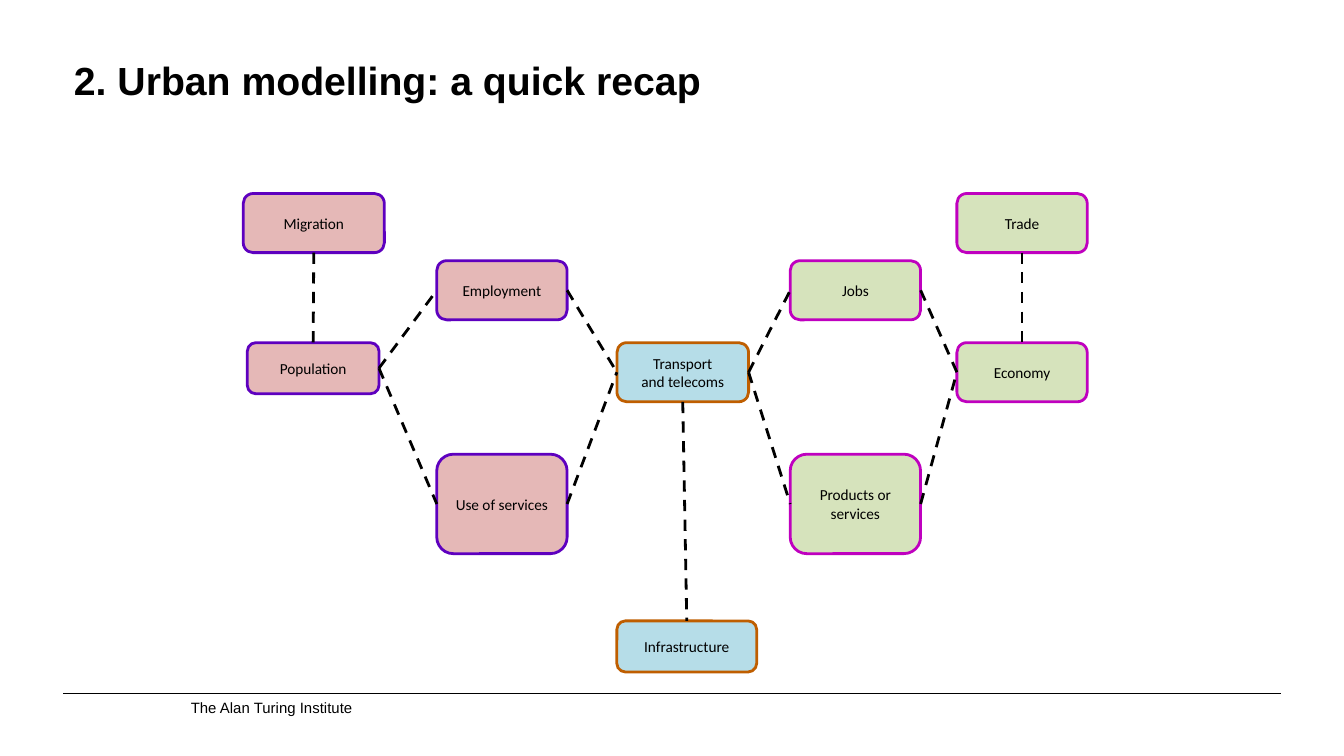
from lxml.etree import SubElement
from pptx import Presentation
from pptx.dml.color import RGBColor
from pptx.enum.dml import MSO_LINE_DASH_STYLE as Dash
from pptx.enum.shapes import MSO_CONNECTOR as Connector, MSO_SHAPE as Shape
from pptx.enum.text import MSO_ANCHOR as Anchor, MSO_AUTO_SIZE as AutoSize, PP_ALIGN as Align
from pptx.oxml.ns import qn
from pptx.util import Inches, Pt

TITLE = "2. Urban modelling: a quick recap"
FOOTER = "The Alan Turing Institute"

COLORS = {
    "black": "000000",
    "people fill": "E5B8B7", "people line": "5E00BF",
    "network fill": "B6DDE8", "network line": "BF5E00",
    "business fill": "D6E3BC", "business line": "BF00BF",
}

# label: (group, left, top, width, height)
BOXES = {
    "Migration": ("people", 1.81, 1.44, 1.05, 0.44),
    "Population": ("people", 1.84, 2.55, 0.98, 0.38),
    "Employment": ("people", 3.25, 1.94, 0.97, 0.44),
    "Use of services": ("people", 3.25, 3.38, 0.97, 0.74),
    "Transport\nand telecoms": ("network", 4.59, 2.55, 0.98, 0.44),
    "Products or services": ("business", 5.88, 3.38, 0.97, 0.74),
    "Jobs": ("business", 5.88, 1.94, 0.97, 0.44),
    "Economy": ("business", 7.12, 2.55, 0.97, 0.44),
    "Trade": ("business", 7.12, 1.44, 0.97, 0.44),
    "Infrastructure": ("network", 4.59, 4.62, 1.04, 0.38),
}

VERTICAL_LINKS = [
    ("Migration", "Population"),
    ("Transport\nand telecoms", "Infrastructure"),
    ("Trade", "Economy"),
]
SIDEWAYS_LINKS = [
    ("Population", "Employment"),
    ("Population", "Use of services"),
    ("Employment", "Transport\nand telecoms"),
    ("Use of services", "Transport\nand telecoms"),
    ("Transport\nand telecoms", "Jobs"),
    ("Transport\nand telecoms", "Products or services"),
    ("Jobs", "Economy"),
    ("Products or services", "Economy"),
]
TOP, LEFT, BOTTOM, RIGHT = range(4)

FONTS = {
    "title": {"name": "Arial", "size": Pt(21), "bold": True},
    "footer": {"name": "Arial", "size": Pt(8)},
    "box": {"name": "Calibri", "size": Pt(8.2)},
}
NO_MARGINS = dict.fromkeys(("margin_left", "margin_top", "margin_right", "margin_bottom"), 0)


def color(name):
    return RGBColor.from_string(COLORS[name])


def set_all(target, values):
    for name, value in values.items():
        setattr(target, name, value)


def write(shape, text, style, align, **frame_values):
    frame = shape.text_frame
    frame.text = text
    set_all(frame, {"word_wrap": True, "auto_size": AutoSize.NONE, **frame_values})
    for paragraph in frame.paragraphs:
        paragraph.alignment = align
        set_all(paragraph.font, FONTS[style])
        paragraph.font.color.rgb = color("black")


def add_box(slide, label, group, *place):
    box = slide.shapes.add_shape(Shape.ROUNDED_RECTANGLE, *map(Inches, place))
    box.shadow.inherit = False
    box.fill.solid()
    box.fill.fore_color.rgb = color(f"{group} fill")
    box.line.color.rgb = color(f"{group} line")
    box.line.width = Pt(1.5)
    write(box, label, "box", Align.CENTER, vertical_anchor=Anchor.MIDDLE)
    return box


def add_line(slide, width, *ends):
    line = slide.shapes.add_connector(Connector.STRAIGHT, *map(Inches, ends))
    line.line.color.rgb = color("black")
    line.line.width = Pt(width)
    SubElement(line.element.spPr, qn("a:effectLst"))
    return line


def add_link(slide, start, start_side, end, end_side):
    link = add_line(slide, 1.5, 0, 0, 0, 0)
    link.line.dash_style = Dash.DASH
    link.begin_connect(start, start_side)
    link.end_connect(end, end_side)


def main():
    deck = Presentation()
    deck.slide_width = Inches(10)
    deck.slide_height = deck.slide_width * 9 // 16
    slide = deck.slides.add_slide(deck.slide_layouts[5])

    footer = slide.shapes.add_textbox(*map(Inches, (1.42, 5.17, 3.94, 0.16)))
    write(footer, FOOTER, "footer", Align.LEFT, vertical_anchor=Anchor.BOTTOM, **NO_MARGINS)
    add_line(slide, 0.5, 0.47, 5.16, 9.53, 5.16)

    title = slide.shapes.title
    title.left, title.top, title.width, title.height = map(Inches, (0.55, 0.47, 9.06, 0.51))
    write(title, TITLE, "title", Align.LEFT, vertical_anchor=Anchor.TOP, **NO_MARGINS)
    title.text_frame.paragraphs[0].line_spacing = 0.85

    boxes = {label: add_box(slide, label, *details) for label, details in BOXES.items()}
    for upper, lower in VERTICAL_LINKS:
        add_link(slide, boxes[upper], BOTTOM, boxes[lower], TOP)
    for left, right in SIDEWAYS_LINKS:
        add_link(slide, boxes[left], RIGHT, boxes[right], LEFT)

    deck.save("out.pptx")


if __name__ == "__main__":
    main()
